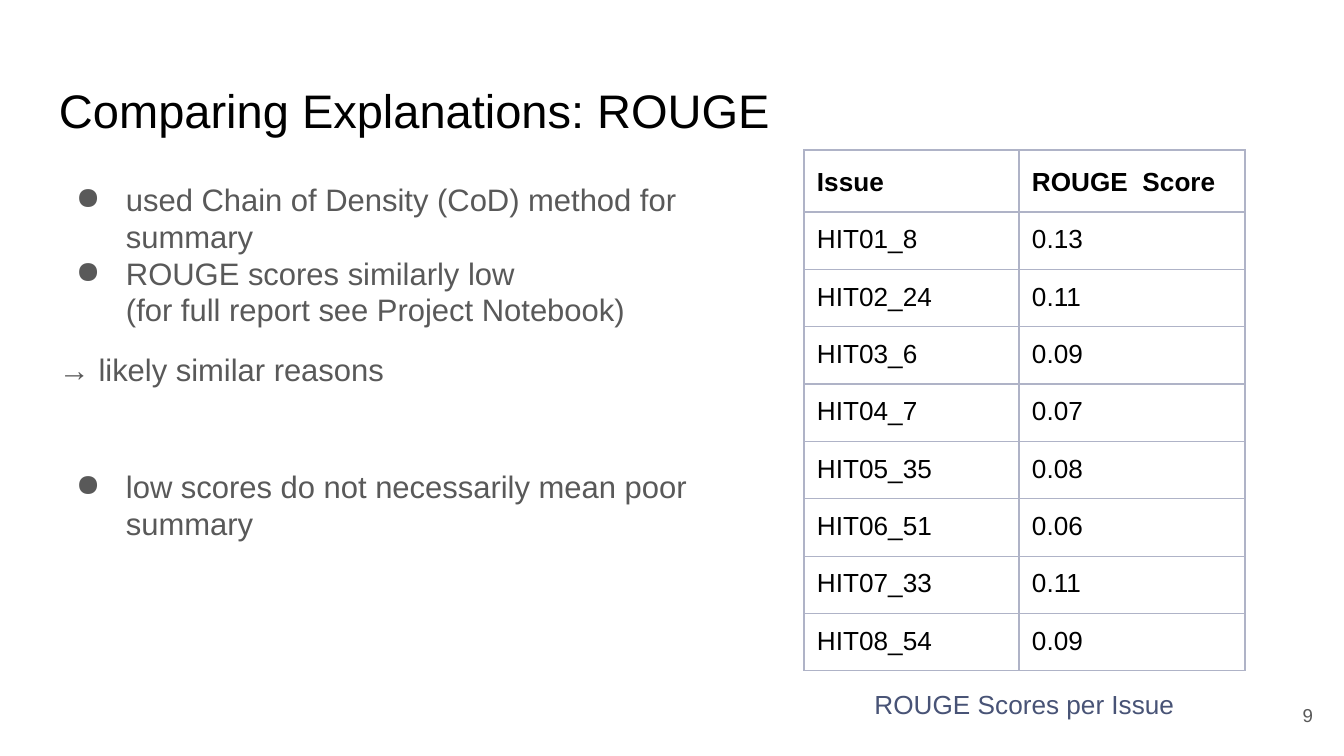
"""Build the slide that compares explanations by ROUGE score."""
import pptx
import pptx.dml.color
import pptx.enum.text
import pptx.oxml
import pptx.oxml.ns
import pptx.util

ALIGN = pptx.enum.text.PP_ALIGN
ANCHOR = pptx.enum.text.MSO_ANCHOR

TITLE = "Comparing Explanations: ROUGE"
POINTS = [
    {"text": "used Chain of Density (CoD) method for summary", "bullet": True, "before": 0},
    {"text": "ROUGE scores similarly low \v(for full report see Project Notebook)",
     "bullet": True, "before": 0},
    {"text": "→ likely similar reasons", "bullet": False, "before": 12},
    {"text": "low scores do not necessarily mean poor summary", "bullet": True, "before": 43},
]
SCORES = [
    ("Issue", "ROUGE  Score"),
    ("HIT01_8", "0.13"),
    ("HIT02_24", "0.11"),
    ("HIT03_6", "0.09"),
    ("HIT04_7", "0.07"),
    ("HIT05_35", "0.08"),
    ("HIT06_51", "0.06"),
    ("HIT07_33", "0.11"),
    ("HIT08_54", "0.09"),
]
CAPTION = "ROUGE Scores per Issue"
PAGE = "9"

THEME = {
    "font": "Arial",
    "title": (25.2, "000000"),
    "body": (16.6, "595959"),
    "table": (14, "000000"),
    "caption": (14, "485376"),
    "page": (10, "595959"),
    "border": "AFB3C7",
    "background": "FFFFFF",
}

SLIDE_WIDTH, SLIDE_HEIGHT = 1344, 756
SCALE = 9144000 / SLIDE_WIDTH
INSET = 13
BULLET_MARGIN, BULLET_HANG = 67, 50
TABLE_LEFT, TABLE_TOP = 804, 150
COLUMN_WIDTHS = (215, 226)
HEADER_HEIGHT, ROW_HEIGHT = 61, 56


def px(length):
    return pptx.util.Emu(round(length * SCALE))


def style(paragraph, role, bold=False):
    size, color = THEME[role]
    paragraph.font.name = THEME["font"]
    paragraph.font.size = pptx.util.Pt(size)
    paragraph.font.bold = bold
    paragraph.font.color.rgb = pptx.dml.color.RGBColor.from_string(color)


def set_insets(holder):
    holder.margin_left = holder.margin_right = px(INSET)
    holder.margin_top = holder.margin_bottom = px(INSET)


def add_text(slide, box, text, role, align=ALIGN.LEFT, anchor=ANCHOR.TOP):
    frame = slide.shapes.add_textbox(*map(px, box)).text_frame
    frame.word_wrap = True
    frame.vertical_anchor = anchor
    set_insets(frame)
    paragraph = frame.paragraphs[0]
    paragraph.text = text
    paragraph.alignment = align
    style(paragraph, role)
    return frame


def add_bullet(paragraph):
    properties = paragraph._p.get_or_add_pPr()
    properties.set("marL", str(px(BULLET_MARGIN)))
    properties.set("indent", str(-px(BULLET_HANG)))
    namespace = pptx.oxml.ns.nsdecls("a")
    bullet = pptx.oxml.parse_xml(f'<a:buChar {namespace} char="●"/>')
    properties.insert_element_before(bullet, "a:tabLst", "a:defRPr", "a:extLst")


def add_points(slide, box):
    frame = add_text(slide, box, "", "body")
    for index, point in enumerate(POINTS):
        paragraph = frame.add_paragraph() if index else frame.paragraphs[0]
        paragraph.text = point["text"]
        paragraph.line_spacing = 0.99
        paragraph.space_before = pptx.util.Pt(point["before"])
        style(paragraph, "body")
        if point["bullet"]:
            add_bullet(paragraph)


def add_borders(cell):
    properties = cell._tc.get_or_add_tcPr()
    namespace = pptx.oxml.ns.nsdecls("a")
    for index, side in enumerate(("lnL", "lnR", "lnT", "lnB")):
        properties.insert(index, pptx.oxml.parse_xml(
            f'<a:{side} {namespace} w="{pptx.util.Pt(0.75)}"><a:solidFill>'
            f'<a:srgbClr val="{THEME["border"]}"/></a:solidFill></a:{side}>'))


def add_scores(slide):
    heights = [HEADER_HEIGHT] + [ROW_HEIGHT] * (len(SCORES) - 1)
    box = (TABLE_LEFT, TABLE_TOP, sum(COLUMN_WIDTHS), sum(heights))
    table = slide.shapes.add_table(len(SCORES), len(COLUMN_WIDTHS), *map(px, box)).table
    table.horz_banding = False
    for column, width in zip(table.columns, COLUMN_WIDTHS):
        column.width = px(width)
    for row_index, (row, height, values) in enumerate(zip(table.rows, heights, SCORES)):
        row.height = px(height)
        header = row_index == 0
        for cell, value in zip(row.cells, values):
            cell.fill.background()
            set_insets(cell)
            add_borders(cell)
            paragraph = cell.text_frame.paragraphs[0]
            paragraph.text = value
            paragraph.line_spacing = 1.15 if header else 1.0
            style(paragraph, "table", bold=header)


def main():
    presentation = pptx.Presentation()
    presentation.slide_width = px(SLIDE_WIDTH)
    presentation.slide_height = px(SLIDE_HEIGHT)
    slide = presentation.slides.add_slide(presentation.slide_layouts[6])
    slide.background.fill.solid()
    slide.background.fill.fore_color.rgb = pptx.dml.color.RGBColor.from_string(
        THEME["background"])
    add_text(slide, (46, 66, 1252, 85), TITLE, "title", anchor=ANCHOR.BOTTOM)
    add_points(slide, (46, 169, 718, 503))
    add_text(slide, (1245, 686, 81, 58), PAGE, "page", ALIGN.RIGHT, ANCHOR.MIDDLE)
    add_scores(slide)
    caption_box = (TABLE_LEFT, 675, sum(COLUMN_WIDTHS), 59)
    add_text(slide, caption_box, CAPTION, "caption", ALIGN.CENTER)
    presentation.save("out.pptx")


if __name__ == "__main__":
    main()
